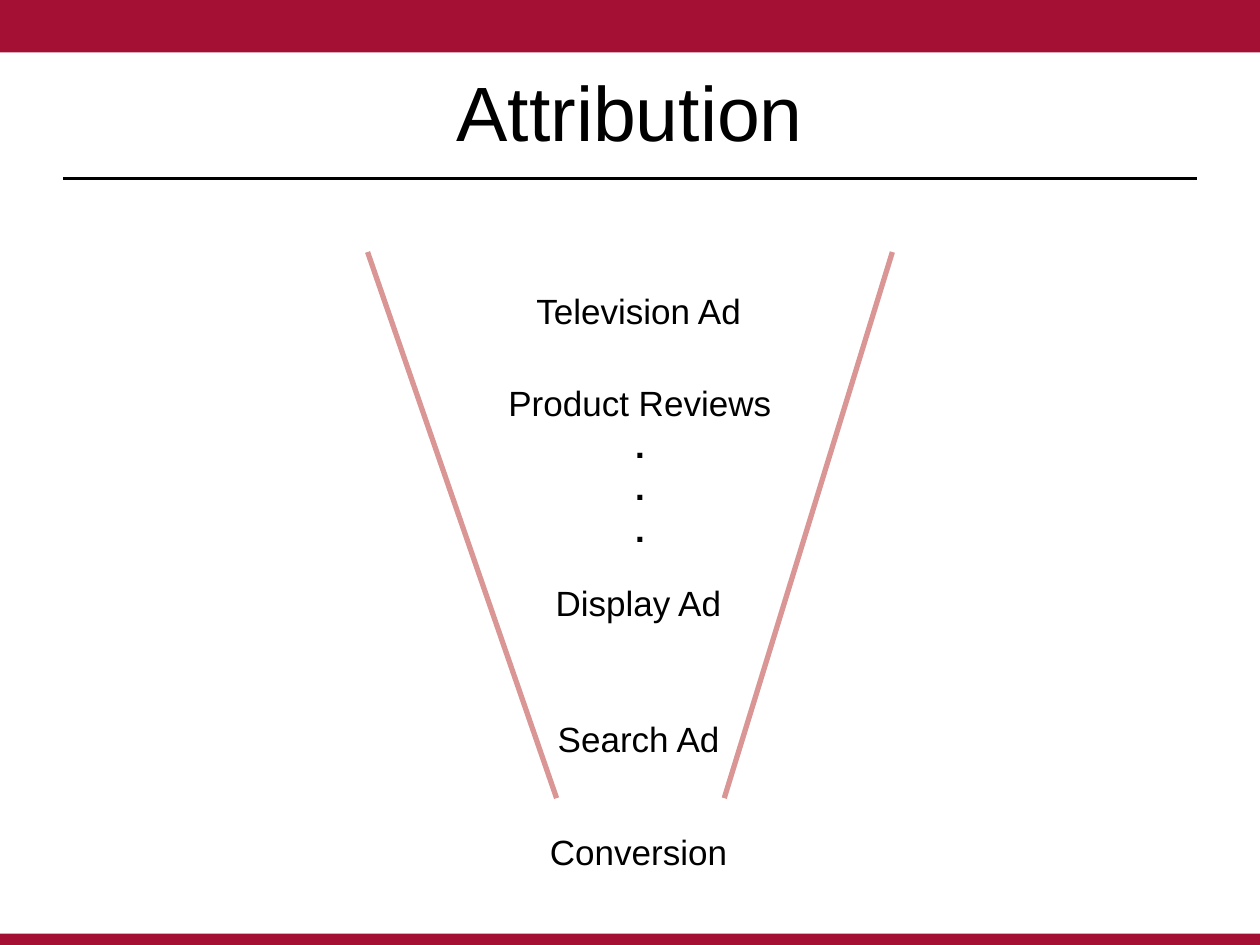
"""Build the Attribution funnel slide."""
from lxml.etree import SubElement
from pptx import Presentation
from pptx.dml.color import RGBColor
from pptx.enum.shapes import MSO_CONNECTOR, MSO_SHAPE
from pptx.enum.text import MSO_ANCHOR, PP_ALIGN
from pptx.oxml.ns import qn
from pptx.util import Cm, Pt

COLORS = {"crimson": "A41034", "rose": "D99694", "black": "000000"}
WIDTH, HEIGHT = 25.4, 19.05


class SlideBuilder:
    def __init__(self, slide, font="Arial"):
        self.slide = slide
        self.font = font

    def color(self, name):
        return RGBColor.from_string(COLORS[name])

    def style(self, paragraph, size, bold=False):
        paragraph.alignment = PP_ALIGN.CENTER
        for run in paragraph.runs:
            run.font.name = self.font
            run.font.size = Pt(size)
            run.font.bold = bold
            run.font.color.rgb = self.color("black")

    def band(self, top, height):
        band = self.slide.shapes.add_shape(
            MSO_SHAPE.RECTANGLE, 0, Cm(top), Cm(WIDTH), Cm(height))
        band.shadow.inherit = False
        band.fill.solid()
        band.fill.fore_color.rgb = self.color("crimson")
        band.line.fill.background()

    def line(self, start, end, color, width):
        line = self.slide.shapes.add_connector(
            MSO_CONNECTOR.STRAIGHT, *map(Cm, start + end))
        line.line.color.rgb = self.color(color)
        line.line.width = Pt(width)
        SubElement(line._element.spPr, qn("a:effectLst"))

    def title(self, text, left, top, width, height):
        title = self.slide.shapes.title
        title.left, title.top, title.width, title.height = map(
            Cm, (left, top, width, height))
        title.text_frame.text = text
        title.text_frame.vertical_anchor = MSO_ANCHOR.MIDDLE
        self.style(title.text_frame.paragraphs[0], 44)

    def label(self, text, left, top, width, height=1.11):
        label = self.slide.shapes.add_textbox(*map(Cm, (left, top, width, height)))
        frame = label.text_frame
        frame.word_wrap = False
        frame.text = text
        for index, paragraph in enumerate(frame.paragraphs):
            self.style(paragraph, 20, bold=index > 0)


def main():
    deck = Presentation()
    deck.slide_width, deck.slide_height = Cm(WIDTH), Cm(HEIGHT)
    builder = SlideBuilder(deck.slides.add_slide(deck.slide_layouts[5]))

    builder.band(0, 1.06)
    builder.band(18.82, 0.25)
    builder.line((1.27, 3.6), (24.13, 3.6), "black", 1.25)
    builder.title("Attribution", 1.27, 0.64, 22.86, 3.18)

    funnel_top, funnel_bottom = 5.08, 16.09
    for upper, lower in ((7.41, 11.22), (17.99, 14.6)):
        builder.line((upper, funnel_top), (lower, funnel_bottom), "rose", 3)

    builder.label("Television Ad", 10.54, 5.72, 4.67)
    builder.label("Display Ad", 10.92, 11.6, 3.9)
    builder.label("Search Ad", 10.97, 14.34, 3.81)
    builder.label("Product Reviews\n.\n.\v.", 9.8, 7.57, 6.2, 3.68)
    builder.label("Conversion", 10.82, 16.62, 4.11)

    deck.save("out.pptx")


if __name__ == "__main__":
    main()
